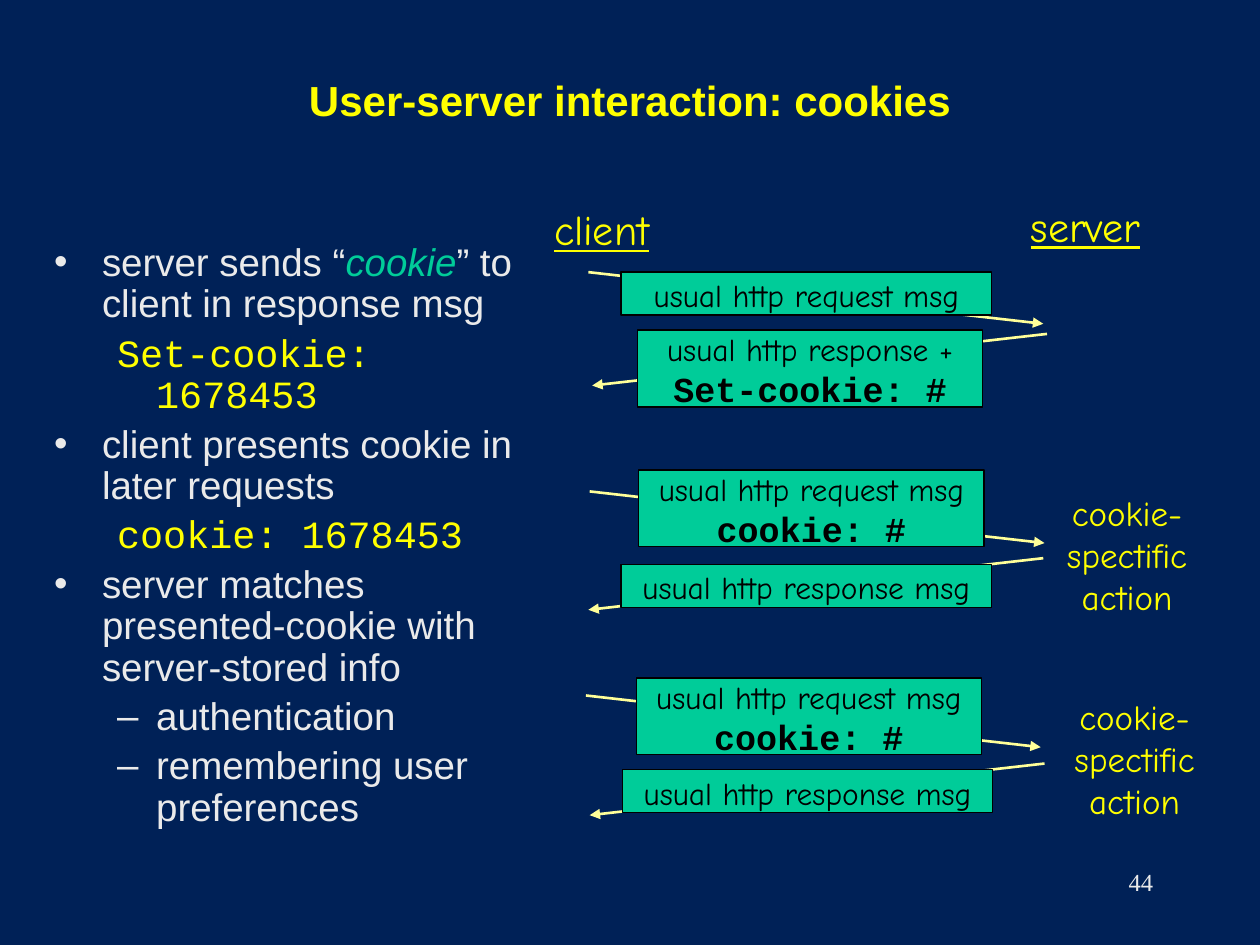
from dataclasses import dataclass

from lxml.etree import SubElement
from pptx import Presentation
from pptx.dml.color import RGBColor
from pptx.enum.shapes import MSO_CONNECTOR as Connector, MSO_SHAPE as Shape
from pptx.enum.text import MSO_ANCHOR as Anchor, MSO_AUTO_SIZE as AutoSize, PP_ALIGN as Align
from pptx.oxml.ns import qn
from pptx.util import Emu, Inches, Pt

NAVY, YELLOW, PALE, GREEN = "002157", "FFFF00", "FFFF99", "00CC99"
LIGHT, BLACK = "EAEAEA", "000000"
SANS, HAND, CODE, SERIF = "Arial", "Comic Neue", "Courier New", "Times New Roman"

# The slide is a grid of 100 columns by 75 rows
WIDTH, HEIGHT = Inches(10), Inches(7.5)
COLUMNS, ROWS = 100, 75
ARROW_WIDTH, ARROW_HEIGHT = 36.1, 4.1
CAPTION_WIDTH = 30


@dataclass
class Span:
    text: str
    font: str = SANS
    color: str = LIGHT
    italic: bool = False


@dataclass
class Item:
    spans: list[Span]
    level: int = 0
    bullet: str = ""


@dataclass
class Message:
    """An arrow between client and server, with the box that names it."""
    arrow: tuple[float, float]
    to_server: bool
    box: tuple[float, float]
    label: str
    header: str = ""


@dataclass
class Label:
    place: tuple[float, float, float, float]
    lines: list[str]
    size: int
    underline: bool = False


ITEMS = [
    Item([Span("server sends “"), Span("cookie", color=GREEN, italic=True),
          Span("” to client in response msg")], bullet="•"),
    Item([Span("Set-cookie: 1678453", CODE, YELLOW)], level=1),
    Item([Span("client presents cookie in later requests")], bullet="•"),
    Item([Span("cookie: 1678453", CODE, YELLOW)], level=1),
    Item([Span("server matches presented-cookie with server-stored info")], bullet="•"),
    Item([Span("authentication")], level=1, bullet="–"),
    Item([Span("remembering user preferences")], level=1, bullet="–"),
]
REQUEST, RESPONSE = "usual http request msg", "usual http response msg"
MESSAGES = [
    Message((46.7, 21.6), True, (49.3, 21.6), REQUEST),
    Message((47.0, 26.5), False, (50.6, 26.2), "usual http response +", "Set-cookie: #"),
    Message((46.8, 39.0), True, (50.7, 37.3), REQUEST, "cookie: #"),
    Message((46.7, 44.3), False, (49.3, 44.8), RESPONSE),
    Message((46.5, 55.2), True, (50.5, 53.8), REQUEST, "cookie: #"),
    Message((46.8, 60.6), False, (49.4, 61.1), RESPONSE),
]
ACTION = ["cookie-", "spectific", "action"]
LABELS = [
    Label((42.4, 15.7, 10.7, 5), ["client"], 24, underline=True),
    Label((80.1, 15.4, 12.1, 5), ["server"], 24, underline=True),
    Label((82.7, 38.5, 13.5, 11), ACTION, 20),
    Label((83.3, 54.7, 13.5, 11), ACTION, 20),
]


def rgb(color: str) -> RGBColor:
    return RGBColor.from_string(color)


def across(columns: float) -> Emu:
    return Emu(round(WIDTH * columns / COLUMNS))


def down(rows: float) -> Emu:
    return Emu(round(HEIGHT * rows / ROWS))


def area(left: float, top: float, width: float, height: float) -> tuple[Emu, ...]:
    return across(left), down(top), across(width), down(height)


def move(shape, *place: float) -> None:
    shape.left, shape.top, shape.width, shape.height = area(*place)


def write(para, text: str, *, font=SANS, size=22, color=LIGHT,
          bold=False, italic=False, underline=False) -> None:
    span = para.add_run()
    span.text = text
    face = span.font
    face.name, face.size, face.color.rgb = font, Pt(size), rgb(color)
    face.bold, face.italic, face.underline = bold, italic, underline


def add_para(frame, index: int, align=None):
    para = frame.add_paragraph() if index else frame.paragraphs[0]
    if align is not None:
        para.alignment = align
    return para


def add_item(frame, index: int, item: Item) -> None:
    para = add_para(frame, index)
    para.level = item.level
    para.line_spacing, para.space_before = 0.9, Pt(4.4)
    margin, hang = (0.81, 0.31) if item.level else (0.38, 0.38)
    props = para._p.get_or_add_pPr()
    props.set("marL", str(Inches(margin)))
    props.set("indent", str(-Inches(hang)))
    if item.bullet:
        SubElement(props, qn("a:buChar"), char=item.bullet)
    else:
        SubElement(props, qn("a:buNone"))
    for span in item.spans:
        write(para, span.text, font=span.font, color=span.color, italic=span.italic)


def add_arrow(page, message: Message) -> None:
    left, top = message.arrow
    right, bottom = left + ARROW_WIDTH, top + ARROW_HEIGHT
    start, end = (left, right) if message.to_server else (right, left)
    line = page.shapes.add_connector(
        Connector.STRAIGHT, across(start), down(top), across(end), down(bottom))
    line.line.color.rgb, line.line.width = rgb(PALE), Pt(1.5)
    SubElement(line.line._get_or_add_ln(), qn("a:tailEnd"), type="triangle")
    SubElement(line._element.spPr, qn("a:effectLst"))


def add_message(page, message: Message) -> None:
    add_arrow(page, message)
    left, top = message.box
    width, height, caption_height = (27.4, 6.1, 7.3) if message.header else (29.4, 3.4, 4)
    group = page.shapes.add_group_shape()
    box = group.shapes.add_shape(Shape.RECTANGLE, *area(left, top, width, height))
    box.shadow.inherit = False
    box.fill.solid()
    box.fill.fore_color.rgb = rgb(GREEN)
    box.line.color.rgb, box.line.width = rgb(BLACK), Pt(0.75)

    # The caption is centred on the box
    caption = group.shapes.add_textbox(*area(
        left + (width - CAPTION_WIDTH) / 2, top + (height - caption_height) / 2 + 0.1,
        CAPTION_WIDTH, caption_height))
    frame = caption.text_frame
    frame.word_wrap = True
    write(add_para(frame, 0, Align.CENTER), message.label, font=HAND, size=18, color=BLACK)
    if message.header:
        write(add_para(frame, 1, Align.CENTER), message.header,
              font=CODE, size=20, color=BLACK, bold=True)


def add_label(page, label: Label) -> None:
    frame = page.shapes.add_textbox(*area(*label.place)).text_frame
    frame.word_wrap, frame.auto_size = False, AutoSize.SHAPE_TO_FIT_TEXT
    for index, line in enumerate(label.lines):
        write(add_para(frame, index, Align.CENTER), line, font=HAND,
              size=label.size, color=YELLOW, underline=label.underline)


def main() -> None:
    deck = Presentation()
    deck.slide_width, deck.slide_height = WIDTH, HEIGHT
    page = deck.slides.add_slide(deck.slide_layouts[1])
    page.background.fill.solid()
    page.background.fill.fore_color.rgb = rgb(NAVY)

    # Title and list
    title, body = page.placeholders
    move(title, 7.5, 4.2, 85, 7.5)
    title.text_frame.vertical_anchor = Anchor.MIDDLE
    write(add_para(title.text_frame, 0, Align.CENTER),
          "User-server interaction: cookies", size=24, color=YELLOW, bold=True)
    move(body, 3.3, 18.8, 39.4, 47.1)
    body.text_frame.auto_size = AutoSize.NONE
    for index, item in enumerate(ITEMS):
        add_item(body.text_frame, index, item)

    # Message exchange
    for message in MESSAGES:
        add_message(page, message)
    for label in LABELS:
        add_label(page, label)

    # Page number
    number = page.shapes.add_textbox(*area(71.7, 68.3, 20.8, 5)).text_frame
    number.word_wrap = True
    write(add_para(number, 0, Align.RIGHT), "44", font=SERIF, size=14)
    deck.save("out.pptx")


if __name__ == "__main__":
    main()
